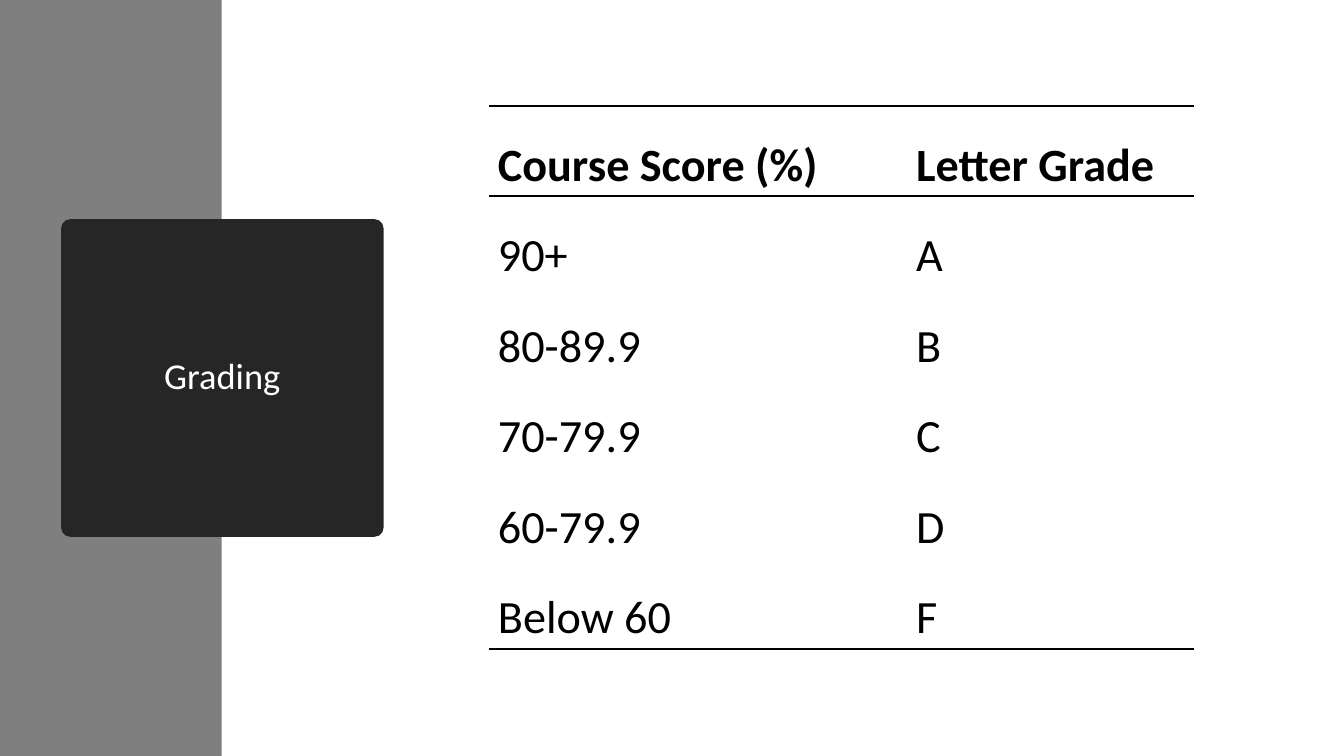
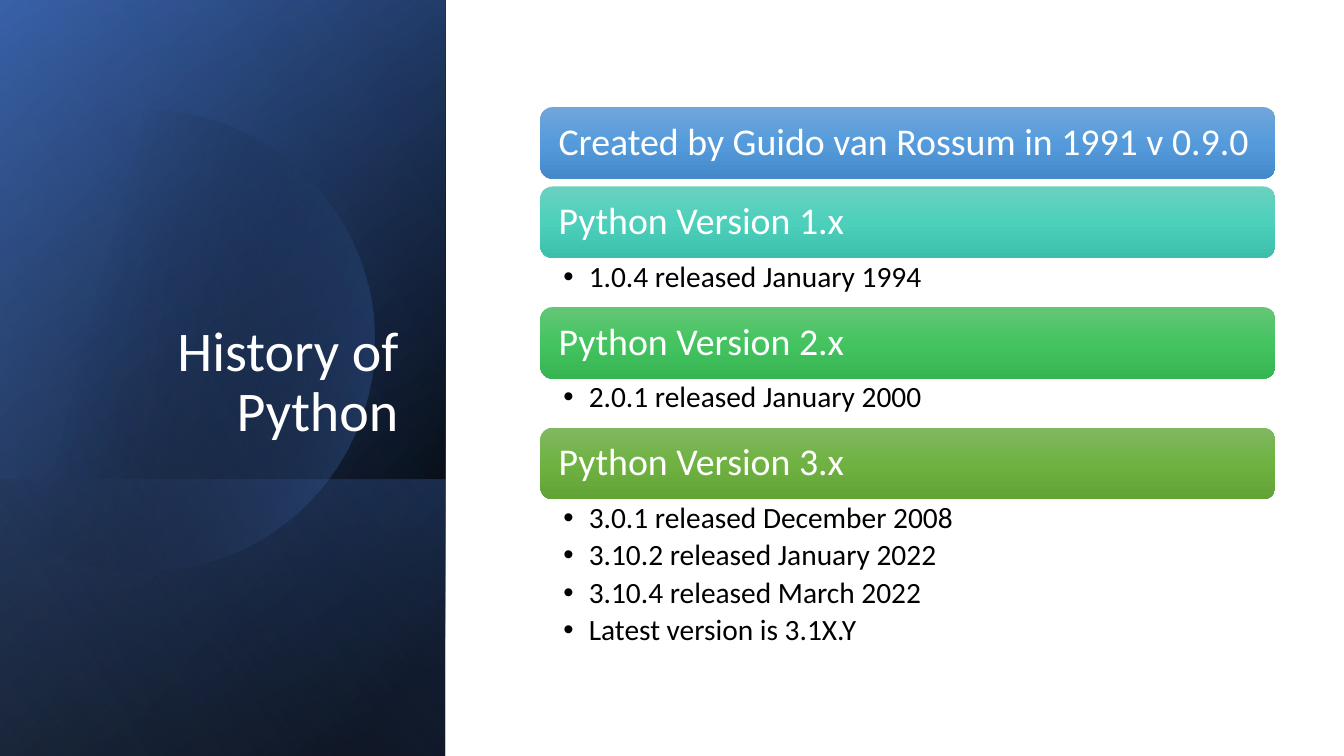
import dataclasses
import math

import lxml.etree
import pptx
import pptx.dml.color
import pptx.enum.shapes
import pptx.enum.text
import pptx.oxml.ns
import pptx.util

Cm = pptx.util.Cm
Pt = pptx.util.Pt
qn = pptx.oxml.ns.qn
Align = pptx.enum.text.PP_ALIGN
Anchor = pptx.enum.text.MSO_ANCHOR
Shape = pptx.enum.shapes.MSO_SHAPE


@dataclasses.dataclass(frozen=True)
class Theme:
    font: str = "Calibri"
    white: str = "FFFFFF"
    black: str = "000000"
    band: str = "7F7F7F"
    card: str = "262626"
    blue: str = "4472C4"
    dark_blue: str = "2F5597"
    light_blue: str = "8FAADC"
    card_title_size: float = 26
    title_size: float = 40
    table_size: float = 33
    bar_size: float = 27
    bullet_size: float = 21
    rule_width: float = 1.5


THEME = Theme()
PAGE_WIDTH, PAGE_HEIGHT = 33.87, 19.05

GRADES = [
    ("Course Score (%)", "Letter Grade"),
    ("90+", "A"),
    ("80-89.9", "B"),
    ("70-79.9", "C"),
    ("60-79.9", "D"),
    ("Below 60", "F"),
]

# Heading, bar colours from top to bottom, releases
VERSIONS = [
    ("Created by Guido van Rossum in 1991 v 0.9.0", ("71A6DB", "559BDB", "448ACA"), []),
    ("Python Version 1.x", ("6AD1C0", "4CD0BC", "3CC0AC"), ["1.0.4 released January 1994"]),
    ("Python Version 2.x", ("64C677", "44C460", "36B552"), ["2.0.1 released January 2000"]),
    ("Python Version 3.x", ("81B861", "6FB242", "62A336"), [
        "3.0.1 released December 2008",
        "3.10.2 released January 2022",
        "3.10.4 released March 2022",
        "Latest version is 3.1X.Y",
    ]),
]


def rgb(colour):
    return pptx.dml.color.RGBColor.from_string(colour)


# Fills and shapes

def add_solid(parent, colour):
    fill = lxml.etree.SubElement(parent, qn("a:solidFill"))
    return lxml.etree.SubElement(fill, qn("a:srgbClr"), val=colour)


def set_gradient(shape, stops, angle):
    """Stops are (position, colour, opacity), all in percent."""
    shape.fill.background()
    properties = shape.fill._xPr
    gradient = lxml.etree.Element(qn("a:gradFill"), rotWithShape="1")
    stop_list = lxml.etree.SubElement(gradient, qn("a:gsLst"))
    for position, colour, opacity in stops:
        stop = lxml.etree.SubElement(stop_list, qn("a:gs"), pos=str(position * 1000))
        tint = lxml.etree.SubElement(stop, qn("a:srgbClr"), val=colour)
        if opacity < 100:
            lxml.etree.SubElement(tint, qn("a:alpha"), val=str(opacity * 1000))
    lxml.etree.SubElement(gradient, qn("a:lin"), ang=str(angle * 60000), scaled="0")
    properties.replace(properties.find(qn("a:noFill")), gradient)


def add_box(page, kind, left, top, width, height, colour=None):
    box = page.shapes.add_shape(kind, Cm(left), Cm(top), Cm(width), Cm(height))
    box.shadow.inherit = False
    box.line.fill.background()
    if colour:
        box.fill.solid()
        box.fill.fore_color.rgb = rgb(colour)
    return box


# Text

def style_para(para, size, colour, align=Align.LEFT, spacing=0.9, bold=False):
    para.alignment = align
    para.line_spacing = spacing
    for span in para.runs:
        span.font.name = THEME.font
        span.font.size = Pt(size)
        span.font.bold = bold
        span.font.color.rgb = rgb(colour)


def set_frame(frame, anchor, side=0.25, edge=0.13):
    frame.word_wrap = True
    frame.vertical_anchor = anchor
    frame.margin_left = frame.margin_right = Cm(side)
    frame.margin_top = frame.margin_bottom = Cm(edge)


def write_title(shape, text, size, align, anchor):
    set_frame(shape.text_frame, anchor)
    shape.text_frame.text = text
    style_para(shape.text_frame.paragraphs[0], size, THEME.white, align)


def add_bullets(page, lines, left, top, width, height):
    box = page.shapes.add_textbox(Cm(left), Cm(top), Cm(width), Cm(height))
    set_frame(box.text_frame, Anchor.TOP, side=0.58, edge=0.1)
    box.text_frame.text = "\n".join(lines)
    for para in box.text_frame.paragraphs:
        properties = para._p.get_or_add_pPr()
        properties.set("marL", str(Cm(0.64)))
        properties.set("indent", str(-Cm(0.64)))
        lxml.etree.SubElement(properties, qn("a:buFont"), typeface="Arial")
        lxml.etree.SubElement(properties, qn("a:buChar"), char="•")
        style_para(para, THEME.bullet_size, THEME.black)
        para.space_after = Pt(4)


# Table

def set_borders(cell, ruled_sides):
    properties = cell._tc.get_or_add_tcPr()
    for index, side in enumerate("LRTB"):
        line = lxml.etree.Element(qn("a:ln" + side))
        if side in ruled_sides:
            line.set("w", str(Pt(THEME.rule_width)))
            add_solid(line, THEME.black)
        else:
            lxml.etree.SubElement(line, qn("a:noFill"))
        properties.insert(index, line)


def add_grade_table(page, left, top, column_widths, row_height):
    frame = page.shapes.add_table(
        len(GRADES), len(column_widths), Cm(left), Cm(top),
        Cm(sum(column_widths)), Cm(row_height * len(GRADES)))
    table = frame.table
    table.first_row = table.horz_banding = False
    for column, width in zip(table.columns, column_widths):
        column.width = Cm(width)
    ruled_rows = {0: "TB", 1: "T", len(GRADES) - 1: "B"}
    for row_index, texts in enumerate(GRADES):
        table.rows[row_index].height = Cm(row_height)
        for column_index, text in enumerate(texts):
            cell = table.cell(row_index, column_index)
            cell.margin_left = Cm((0.23, 1.85)[column_index])
            cell.margin_right = cell.margin_top = Cm(0.08)
            cell.margin_bottom = 0
            cell.fill.background()
            set_borders(cell, ruled_rows.get(row_index, ""))
            cell.text_frame.text = text
            style_para(cell.text_frame.paragraphs[0], THEME.table_size, THEME.black,
                       spacing=1.5, bold=row_index == 0)


# Side panel of the history slide

def add_panel_layer(page, top, width, height, stops, angle):
    """A layer that fills width by height once turned by a quarter and mirrored."""
    layer = add_box(page, Shape.RECTANGLE, (width - height) / 2,
                    top + (height - width) / 2, height, width)
    layer.rotation = 90
    layer._element.spPr.find(qn("a:xfrm")).set("flipH", "1")
    set_gradient(layer, stops, angle)


def add_panel_disc(page, centre_x, centre_y, radius):
    """A disc cut off by the left edge of the page."""
    limit = math.acos(-centre_x / radius)
    steps = 90
    angles = [limit * (2 * step / steps - 1) for step in range(steps + 1)]
    points = [(Cm(max(0, centre_x + radius * math.cos(angle))),
               Cm(centre_y + radius * math.sin(angle))) for angle in angles]
    builder = page.shapes.build_freeform(*points[0])
    builder.add_line_segments(points[1:])
    disc = builder.convert_to_shape()
    disc.shadow.inherit = False
    disc.line.fill.background()
    set_gradient(disc, [(29, THEME.black, 0), (100, THEME.blue, 43)], 14)


def add_panel(page, width, foot_height):
    clear = (0, THEME.black, 0)
    add_panel_layer(page, 0, width, PAGE_HEIGHT,
                    [(8, THEME.black, 100), (100, THEME.dark_blue, 100)], 50)
    add_panel_layer(page, 0, width, PAGE_HEIGHT, [clear, (99, THEME.blue, 46)], 30)
    add_panel_layer(page, PAGE_HEIGHT - foot_height, width, foot_height,
                    [(2, THEME.blue, 29), (100, THEME.black, 30)], 130)
    add_panel_disc(page, 3.63, 8.58, 5.82)
    add_panel_layer(page, 0, width, PAGE_HEIGHT, [clear, (99, THEME.light_blue, 11)], 120)


def add_version_list(page, left, top, width):
    bar_height, gap = 1.8, 0.2
    for heading, colours, releases in VERSIONS:
        bar = add_box(page, Shape.ROUNDED_RECTANGLE, left, top, width, bar_height)
        set_gradient(bar, [(50 * index, colour, 100)
                           for index, colour in enumerate(colours)], 90)
        set_frame(bar.text_frame, Anchor.MIDDLE, side=0.37)
        bar.text_frame.text = heading
        style_para(bar.text_frame.paragraphs[0], THEME.bar_size, THEME.white)
        top += bar_height
        if releases:
            height = 0.31 + 0.93 * len(releases)
            add_bullets(page, releases, left, top, width, height)
            top += height
        else:
            top += gap


# Slides

def build_grading(page):
    add_box(page, Shape.RECTANGLE, 0, 0, 5.59, PAGE_HEIGHT, THEME.band)
    card = add_box(page, Shape.ROUNDED_RECTANGLE, 1.54, 5.52, 8.13, 8.01, THEME.card)
    card.adjustments[0] = 0.03
    write_title(card, "Grading", THEME.card_title_size, Align.CENTER, Anchor.MIDDLE)
    add_grade_table(page, 12.32, 2.67, (8.92, 8.84), 2.28)


def build_history(page):
    add_panel(page, 11.22, 6.96)
    title = page.shapes.add_textbox(Cm(1.63), Cm(4.67), Cm(8.66), Cm(6.65))
    write_title(title, "History of Python", THEME.title_size, Align.RIGHT, Anchor.BOTTOM)
    add_version_list(page, 13.62, 2.7, 18.52)


def main():
    deck = pptx.Presentation()
    deck.slide_width, deck.slide_height = Cm(PAGE_WIDTH), Cm(PAGE_HEIGHT)
    for build in (build_grading, build_history):
        build(deck.slides.add_slide(deck.slide_layouts[6]))
    deck.save("out.pptx")


if __name__ == "__main__":
    main()
